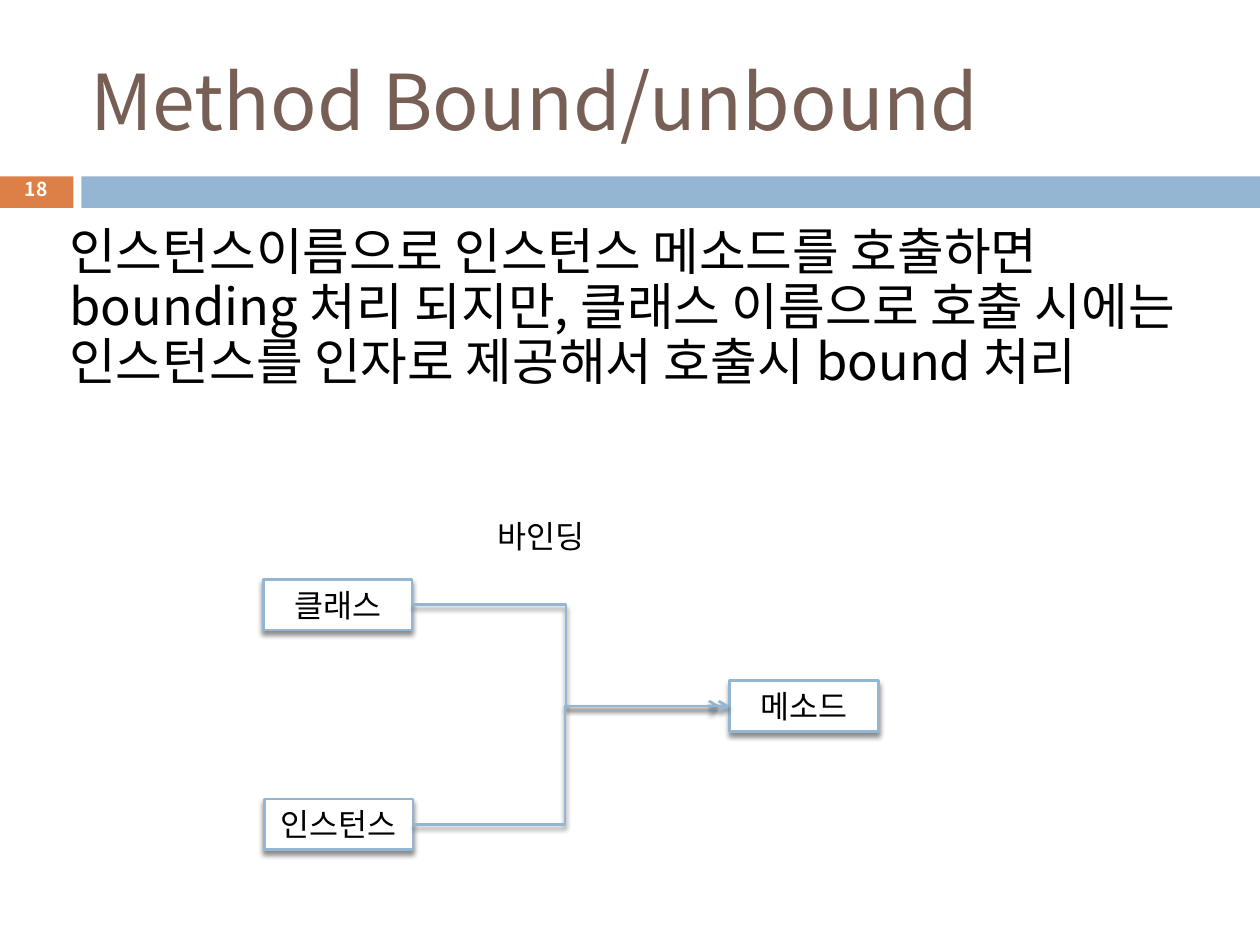
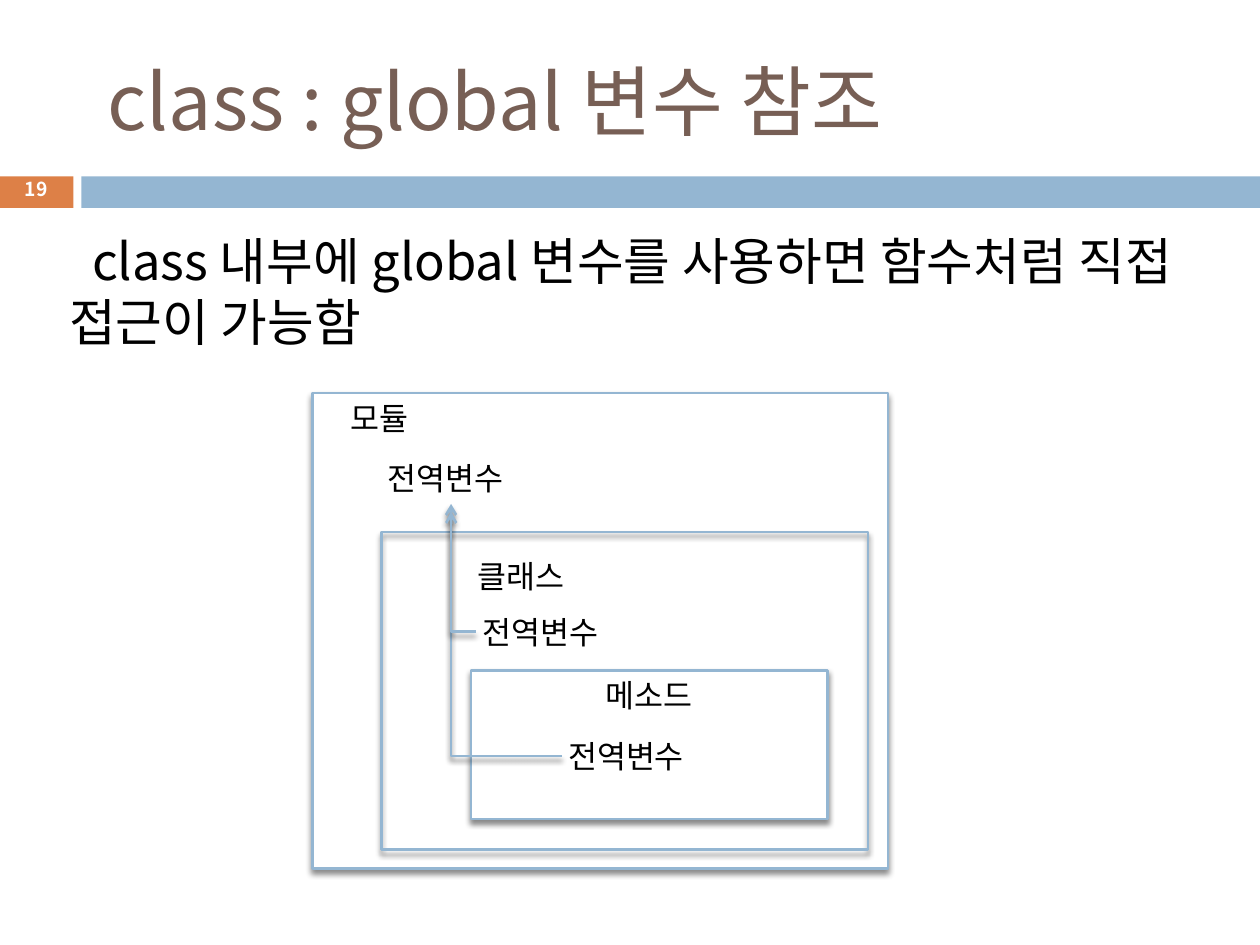
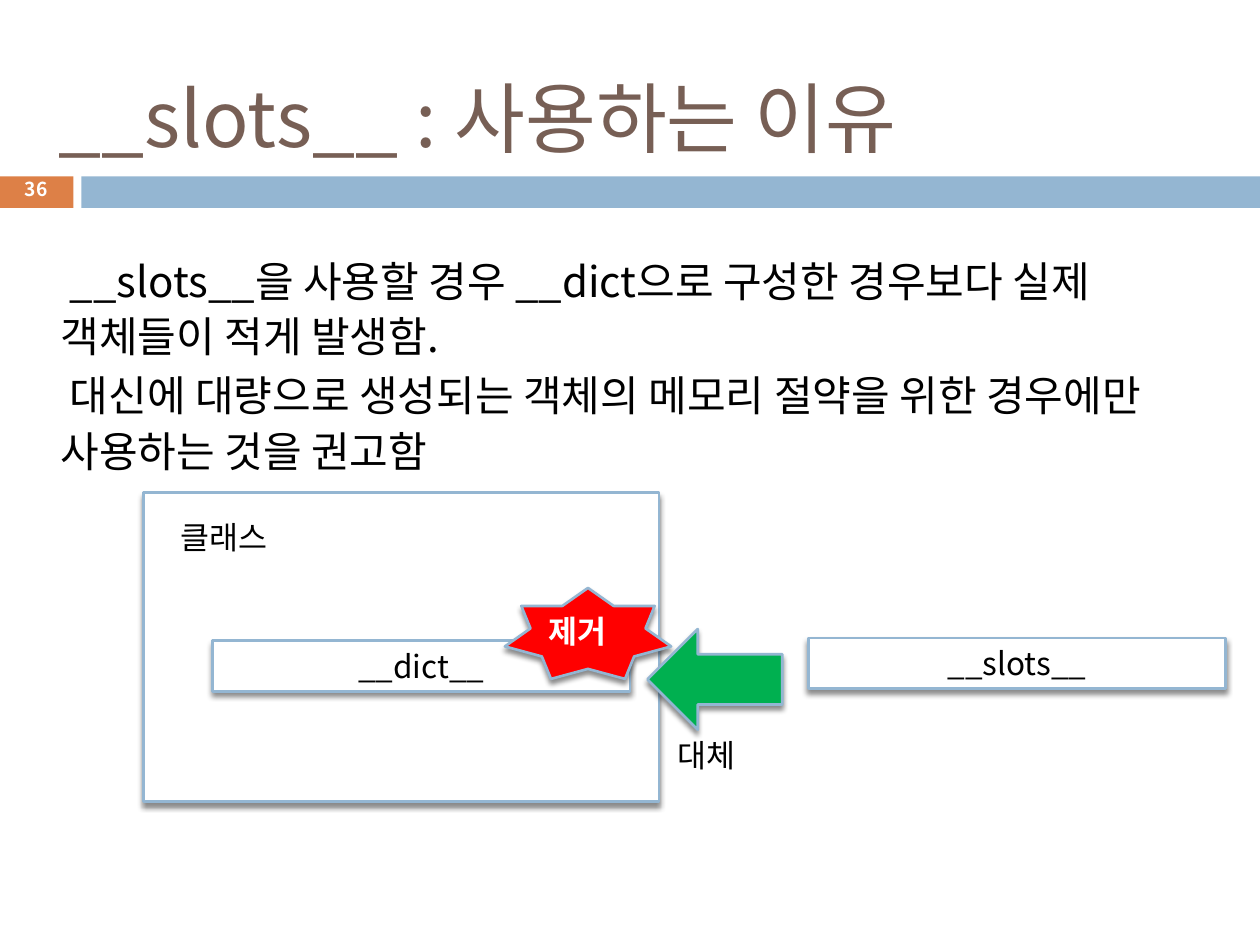
from dataclasses import dataclass
from typing import NamedTuple

from lxml.etree import SubElement
from pptx import Presentation
from pptx.dml.color import RGBColor
from pptx.enum.shapes import MSO_CONNECTOR, MSO_SHAPE
from pptx.enum.text import MSO_ANCHOR, MSO_AUTO_SIZE, PP_ALIGN
from pptx.oxml.ns import qn
from pptx.util import Pt


@dataclass(frozen=True)
class Theme:
    font: str = "Noto Sans CJK KR"
    title: str = "775F55"
    text: str = "000000"
    paper: str = "FFFFFF"
    accent: str = "DD8047"
    band: str = "94B6D2"
    removal: str = "FF0000"
    replacement: str = "00B050"
    title_size: float = 44
    label_size: float = 18
    number_size: float = 11
    inset: float = 3.6
    outline: float = 1.5
    label_height: float = 29


THEME = Theme()


class Box(NamedTuple):
    """A rectangle in points."""
    left: float
    top: float
    width: float
    height: float

    def inner(self, dx, dy, width, height=THEME.label_height):
        return Box(self.left + dx, self.top + dy, width, height)

    def lengths(self):
        return [Pt(length) for length in self]

    @property
    def left_middle(self):
        return self.left, self.top + self.height / 2

    @property
    def right_middle(self):
        return self.left + self.width, self.top + self.height / 2


TITLE_BOX = Box(48, 18, 642, 78)


def rgb(code):
    return RGBColor.from_string(code)


def write(shape, paragraphs, size, color=THEME.text, bold=False, align=PP_ALIGN.LEFT,
          anchor=MSO_ANCHOR.TOP, wrap=True, spacing=None, gap=0, indent=0):
    frame = shape.text_frame
    frame.text = "\n".join(paragraphs)
    frame.auto_size = MSO_AUTO_SIZE.NONE
    frame.word_wrap = wrap
    frame.vertical_anchor = anchor
    frame.margin_left = frame.margin_right = Pt(THEME.inset)
    frame.margin_top = frame.margin_bottom = Pt(THEME.inset)
    for index, paragraph in enumerate(frame.paragraphs):
        paragraph.alignment = align
        if spacing:
            paragraph.line_spacing = spacing
        paragraph.space_before = Pt(gap if index else 0)
        properties = paragraph._p.get_or_add_pPr()
        properties.set("marL", "0")
        properties.set("indent", str(Pt(indent)))
        for run in paragraph.runs:
            run.font.size = Pt(size)
            run.font.bold = bold
            run.font.name = THEME.font
            run.font.color.rgb = rgb(color)
            SubElement(run._r.rPr, qn("a:ea"), typeface=THEME.font)


def cast_shadow(shape):
    effects = SubElement(shape._element.spPr, qn("a:effectLst"))
    shadow = SubElement(effects, qn("a:outerShdw"), blurRad=str(Pt(3)), dist=str(Pt(2.4)),
                        dir="5400000", rotWithShape="0")
    black = SubElement(shadow, qn("a:srgbClr"), val="000000")
    SubElement(black, qn("a:alpha"), val="45000")


def add_text(slide, box, paragraphs, size, **style):
    write(slide.shapes.add_textbox(*box.lengths()), paragraphs, size, **style)


def add_label(slide, box, text):
    add_text(slide, box, [text], THEME.label_size)


def add_outlined(slide, box, fill=THEME.paper, kind=MSO_SHAPE.RECTANGLE):
    shape = slide.shapes.add_shape(kind, *box.lengths())
    if fill:
        shape.fill.solid()
        shape.fill.fore_color.rgb = rgb(fill)
    else:
        shape.fill.background()
    shape.line.color.rgb = rgb(THEME.band)
    shape.line.width = Pt(THEME.outline)
    cast_shadow(shape)
    return shape


def add_node(slide, box, text, anchor=MSO_ANCHOR.MIDDLE):
    write(add_outlined(slide, box), [text], THEME.label_size,
          align=PP_ALIGN.CENTER, anchor=anchor)


def add_bent_arrow(slide, start, end, bend=None):
    """Bend at the given share of the width, or turn one corner when there is none."""
    arrow = slide.shapes.add_connector(
        MSO_CONNECTOR.ELBOW, *[Pt(length) for length in (*start, *end)])
    arrow.line.color.rgb = rgb(THEME.band)
    arrow.line.width = Pt(THEME.outline)
    SubElement(arrow.line._get_or_add_ln(), qn("a:tailEnd"), type="arrow")
    geometry = arrow._element.spPr.find(qn("a:prstGeom"))
    if bend is None:
        geometry.set("prst", "bentConnector2")
    else:
        SubElement(geometry.find(qn("a:avLst")), qn("a:gd"), name="adj1",
                   fmla=f"val {round(bend * 100000)}")
    cast_shadow(arrow)


def add_header(slide, title, number, box=TITLE_BOX, indent=0):
    for left, width, color in ((0, 42, THEME.accent), (46.5, 673.5, THEME.band)):
        band = slide.shapes.add_shape(
            MSO_SHAPE.RECTANGLE, *Box(left, 100.8, width, 18).lengths())
        band.shadow.inherit = False
        band.fill.solid()
        band.fill.fore_color.rgb = rgb(color)
        band.line.fill.background()
    heading = slide.shapes.title
    heading.left, heading.top, heading.width, heading.height = box.lengths()
    write(heading, [title], THEME.title_size, THEME.title,
          anchor=MSO_ANCHOR.MIDDLE, indent=indent)
    add_text(slide, Box(10, 98.6, 21.6, 21.6), [str(number)], THEME.number_size,
             color=THEME.paper, bold=True, align=PP_ALIGN.CENTER,
             anchor=MSO_ANCHOR.MIDDLE, wrap=False, spacing=0.8)


def draw_binding(slide, area):
    class_box = area.inner(0.5, 39, 85)
    instance_box = area.inner(1, 164.5, 85)
    method_box = area.inner(267, 97, 85)
    for box, name in ((class_box, "클래스"), (instance_box, "인스턴스"),
                      (method_box, "메소드")):
        add_node(slide, box, name)
    target_x, target_y = method_box.left_middle
    add_bent_arrow(slide, class_box.right_middle, (target_x - 5.5, target_y), 0.5)
    add_bent_arrow(slide, instance_box.right_middle, (target_x, target_y), 0.48)
    add_label(slide, area.inner(131, 0, 124.5), "바인딩")


def draw_scopes(slide, area):
    """Nested module, class and method, each referring to the global variable."""
    variable = "전역변수"
    class_variable = area.inner(93.5, 122, 79)
    method_variable = area.inner(142.5, 193, 79)
    add_outlined(slide, area)
    add_node(slide, area.inner(90.75, 158.5, 203.75, 85), "메소드", MSO_ANCHOR.TOP)
    add_outlined(slide, area.inner(39.5, 79.5, 278, 181.5), fill=None)
    for box, name in ((area.inner(18, 0, 79), "모듈"),
                      (area.inner(90.75, 90, 79), "클래스"),
                      (area.inner(39.5, 34, 79), variable),
                      (class_variable, variable), (method_variable, variable)):
        add_label(slide, box, name)
    for source, tip in ((method_variable, 63.5), (class_variable, 68)):
        add_bent_arrow(slide, source.left_middle, (area.left + 79.3, area.top + tip))


def draw_slots(slide, area):
    """The class whose __dict__ gives way to __slots__."""
    add_outlined(slide, area)
    add_node(slide, area.inner(39.5, 84.5, 238.5), "__dict__")
    add_node(slide, area.inner(380, 83, 238.5), "__slots__")
    add_label(slide, area.inner(17.5, 11, 102), "클래스")
    removal = add_outlined(slide, area.inner(206.5, 54.5, 95, 52), THEME.removal,
                           MSO_SHAPE.STAR_7_POINT)
    write(removal, ["제거"], THEME.label_size, THEME.paper, bold=True,
          anchor=MSO_ANCHOR.MIDDLE)
    add_outlined(slide, area.inner(288, 78, 77, 57.5), THEME.replacement,
                 MSO_SHAPE.LEFT_ARROW)
    add_label(slide, area.inner(301.5, 135.5, 98), "대체")


def build_binding_slide(slide):
    add_header(slide, "Method Bound/unbound", 18)
    add_text(slide, Box(36, 126, 648, 144),
             ["인스턴스이름으로 인스턴스 메소드를 호출하면 bounding 처리 되지만, "
              "클래스 이름으로 호출 시에는 인스턴스를 인자로 제공해서 호출시 bound 처리"],
             29, spacing=0.9)
    draw_binding(slide, Box(150, 292, 352, 194))


def build_scope_slide(slide):
    add_header(slide, "class : global 변수 참조", 19, indent=9.9)
    add_text(slide, Box(36, 128, 648, 94),
             ["class 내부에 global 변수를 사용하면 함수처럼 직접 접근이 가능함"],
             29, indent=13)
    draw_scopes(slide, Box(178.5, 224.5, 329, 272))


def build_slots_slide(slide):
    add_header(slide, "__slots__ : 사용하는 이유", 36, Box(20, 21.5, 692, 90), indent=9.9)
    add_text(slide, Box(31, 139.5, 648, 136),
             ["__slots__을 사용할 경우 __dict으로 구성한 경우보다 실제 객체들이 적게 발생함.",
              "대신에 대량으로 생성되는 객체의 메모리 절약을 위한 경우에만 사용하는 것을 권고함"],
             24, spacing=1.1, gap=2, indent=5.4)
    draw_slots(slide, Box(82, 281.5, 294.5, 176.5))


def main():
    deck = Presentation()
    deck.slide_width, deck.slide_height = Pt(720), Pt(540)
    title_only = deck.slide_layouts[5]
    for build in (build_binding_slide, build_scope_slide, build_slots_slide):
        build(deck.slides.add_slide(title_only))
    deck.save("out.pptx")


if __name__ == "__main__":
    main()
